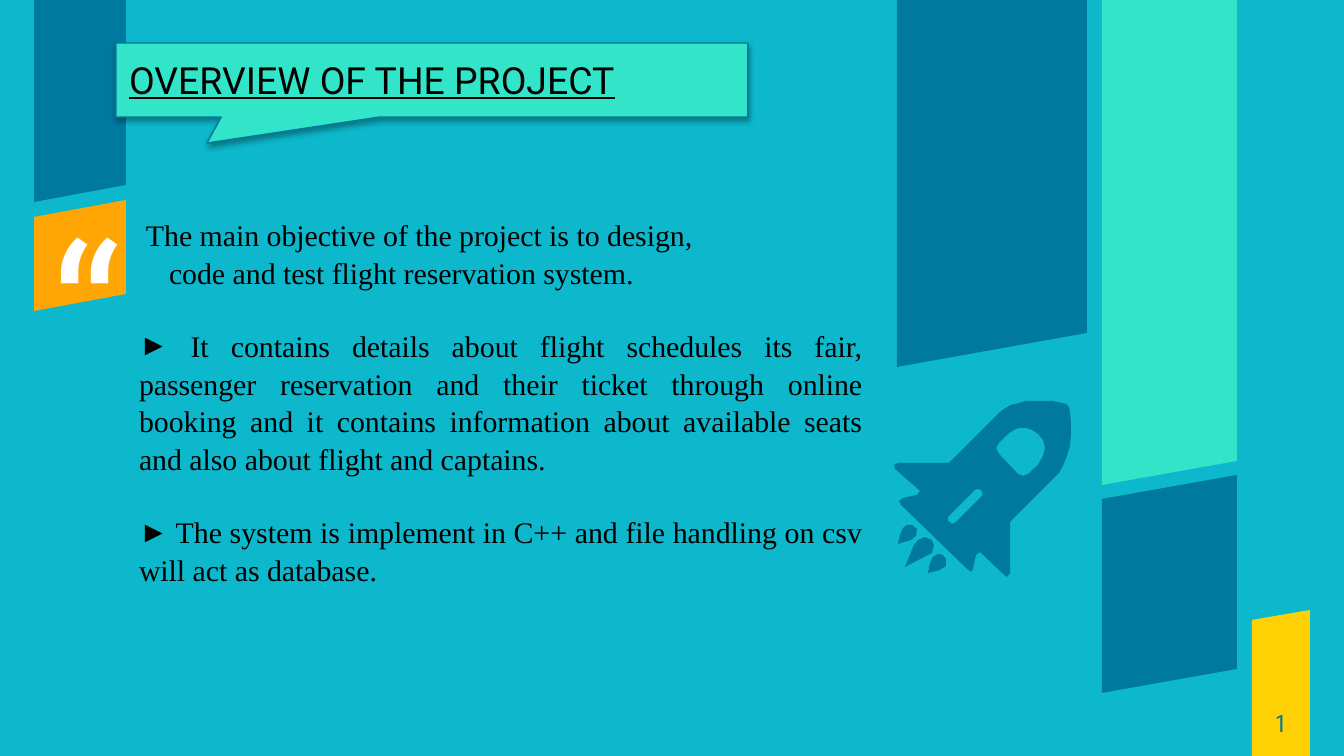
from lxml import etree
from pptx import Presentation
from pptx.dml.color import RGBColor
from pptx.enum.shapes import MSO_SHAPE
from pptx.enum.text import MSO_ANCHOR, MSO_AUTO_SIZE, PP_ALIGN
from pptx.oxml import parse_xml
from pptx.oxml.ns import nsdecls, qn
from pptx.util import Emu, Pt

CALLOUT = MSO_SHAPE.RECTANGULAR_CALLOUT
TOP, MIDDLE = MSO_ANCHOR.TOP, MSO_ANCHOR.MIDDLE
LEFT, CENTER, JUSTIFY = PP_ALIGN.LEFT, PP_ALIGN.CENTER, PP_ALIGN.JUSTIFY
NO_FIT = MSO_AUTO_SIZE.NONE

PX = 914400 / 134.4
SLOPE = 0.18
CYAN, BLUE, MINT = "0DB8CC", "00799E", "32E4C8"
ORANGE, YELLOW, WHITE, BLACK = "FFA604", "FFD104", "FFFFFF", "000000"

# left, width, top and bottom along the left edge, colour
BANDS = [
    (34, 92, 217, 311, ORANGE),
    (34, 92, 0, 202, BLUE),
    (1252, 58, 620, 756, YELLOW),
    (1102, 135, 499, 693, BLUE),
    (897, 190, 0, 367, BLUE),
    (1102, 135, 0, 485, MINT),
]

# Rocket outlines, relative to the rocket's box
HULL = [(148, 1), (132, 1), (122, 4), (117, 5), (110, 9), (105, 13), (55, 63),
        (4, 63), (0, 65), (1, 69), (26, 91), (23, 95), (9, 98), (5, 101),
        (7, 105), (73, 169), (77, 172), (79, 169), (82, 155), (86, 152),
        (110, 175), (113, 177), (116, 173), (116, 122), (165, 73), (169, 66),
        (173, 56), (176, 46), (177, 35), (177, 24), (176, 12), (175, 7),
        (172, 4), (167, 3), (159, 1)]
WINDOW = [(132, 28), (138, 30), (144, 34), (149, 40), (151, 48), (149, 56),
          (144, 65), (134, 74), (129, 76), (124, 74), (105, 54), (102, 48),
          (105, 43), (114, 34), (120, 30), (125, 28)]
SLOT = [(83, 89), (87, 90), (89, 94), (87, 97), (62, 122), (58, 124),
        (54, 121), (54, 117), (81, 90)]
FLAMES = [
    [(31, 137), (24, 140), (20, 145), (11, 167), (32, 156), (38, 153),
     (40, 145), (38, 140)],
    [(44, 154), (39, 157), (36, 163), (34, 173), (46, 170), (52, 166),
     (52, 159), (49, 155)],
    [(13, 125), (9, 128), (6, 135), (4, 144), (17, 140), (22, 136),
     (23, 129), (18, 125)],
]

# text, left margin, space before, bulleted
BODY = [
    ("The main objective of the project is to design,", 7, 0, False),
    ("code and test flight reservation system.", 30, 0, False),
    (" It contains details about flight schedules its fair, passenger "
     "reservation and their ticket through online booking and it contains "
     "information about available seats and also about flight and captains.",
     0, 36, True),
    (" The system is implement in C++ and file handling on csv will act as "
     "database.", 0, 36, True),
]


def px(value):
    return Emu(round(value * PX))


def color(code):
    return RGBColor.from_string(code)


def assign(target, values):
    for name, value in values.items():
        setattr(target, name, value)


def place(shape, box):
    assign(shape, dict(zip(("left", "top", "width", "height"), map(px, box))))


def format_frame(frame, anchor=TOP, side=0, edge=0):
    assign(frame, {
        "word_wrap": True, "auto_size": NO_FIT, "vertical_anchor": anchor,
        "margin_left": px(side), "margin_right": px(side),
        "margin_top": px(edge), "margin_bottom": px(edge),
    })


def write(para, text, size, font, code, align=LEFT, **values):
    span = para.add_run()
    span.text = text
    para.alignment = align
    assign(span.font, {"size": Pt(size), "name": font, **values})
    span.font.color.rgb = color(code)
    return span


def paint(shape, code):
    shape.shadow.inherit = False
    shape.fill.solid()
    shape.fill.fore_color.rgb = color(code)
    shape.line.fill.background()


def outline(shapes, contours, code, origin=(0, 0)):
    builder = shapes.build_freeform(*contours[0][0], scale=PX)
    for number, points in enumerate(contours):
        if number:
            builder.move_to(*points[0])
        builder.add_line_segments(points[1:], close=True)
    paint(builder.convert_to_shape(*map(px, origin)), code)


def add_bands(page, height):
    for left, width, top, bottom, code in BANDS:
        rise = round(width * SLOPE)
        top_right = top - rise if top else top
        bottom_right = bottom - rise if bottom < height else bottom
        right = left + width
        corners = [(left, top), (right, top_right), (right, bottom_right), (left, bottom)]
        outline(page.shapes, [corners], code)


def add_label(page, box, text, size, font, code, align=LEFT, anchor=TOP):
    label = page.shapes.add_textbox(*map(px, box))
    format_frame(label.text_frame, anchor)
    return write(label.text_frame.paragraphs[0], text, size, font, code, align)


def add_page_number(page, box):
    span = add_label(page, box, "2", 13, "Roboto Condensed", BLUE, CENTER, MIDDLE)
    # Turn the run into a slide number field
    span._r.tag = qn("a:fld")
    span._r.set("id", "{B6F15528-21DE-4FAA-801E-634DDDAF4B2B}")
    span._r.set("type", "slidenum")


def add_heading(page, box):
    left, top, width, height = box
    callout = page.shapes.add_shape(CALLOUT, *map(px, box))
    callout.adjustments[0], callout.adjustments[1] = -0.356, 0.852
    paint(callout, MINT)
    callout.line.color.rgb = color(BLUE)
    callout.line.width = Pt(0.75)
    effects = callout._element.spPr.find(qn("a:effectLst"))
    effects.append(parse_xml(
        f'<a:outerShdw {nsdecls("a")} blurRad="39370" dist="22860" dir="5400000" '
        'rotWithShape="0"><a:srgbClr val="000000"><a:alpha val="35000"/>'
        '</a:srgbClr></a:outerShdw>'))

    title = page.shapes.title
    place(title, (left, top + 7, width + 94, height - 15))
    format_frame(title.text_frame, TOP, 13, 7)
    write(title.text_frame.paragraphs[0], "OVERVIEW OF THE PROJECT", 20,
          "Roboto", BLACK, underline=True)
    # Bring the title in front of the callout
    page.shapes._spTree.append(title._element)


def set_bullet(para, margin, bulleted):
    props = para._p.get_or_add_pPr()
    props.set("marL", str(px(margin)))
    props.set("indent", str(px(-15 if bulleted else 0)))
    if bulleted:
        tint = etree.SubElement(props, qn("a:buClr"))
        etree.SubElement(tint, qn("a:srgbClr"), val=BLACK)
        etree.SubElement(props, qn("a:buChar"), char="►")
    else:
        etree.SubElement(props, qn("a:buNone"))


def add_body(page, box):
    body = page.placeholders[1]
    place(body, box)
    format_frame(body.text_frame, TOP, 13, 7)
    for number, (text, margin, gap, bulleted) in enumerate(BODY):
        frame = body.text_frame
        para = frame.add_paragraph() if number else frame.paragraphs[0]
        align = JUSTIFY if bulleted else LEFT
        write(para, text, 16, "Times New Roman", BLACK, align)
        assign(para, {"line_spacing": 1.05, "space_before": px(gap), "space_after": 0})
        set_bullet(para, margin, bulleted)
    page.shapes._spTree.append(body._element)


def add_rocket(page, origin):
    rocket = page.shapes.add_group_shape()
    for contours in [[HULL, WINDOW, SLOT], *([flame] for flame in FLAMES)]:
        outline(rocket.shapes, contours, BLUE, origin)


def main():
    deck = Presentation()
    deck.slide_width, deck.slide_height = px(1344), px(756)
    page = deck.slides.add_slide(deck.slide_layouts[1])
    page.background.fill.solid()
    page.background.fill.fore_color.rgb = color(CYAN)

    add_bands(page, 756)
    add_label(page, (51, 191, 86, 98), "“", 104, "Roboto", WHITE)
    add_page_number(page, (1252, 689, 58, 67))
    add_heading(page, (116, 43, 632, 74))
    add_body(page, (126, 208, 750, 482))
    add_rocket(page, (894, 400))
    deck.save("out.pptx")


if __name__ == "__main__":
    main()
